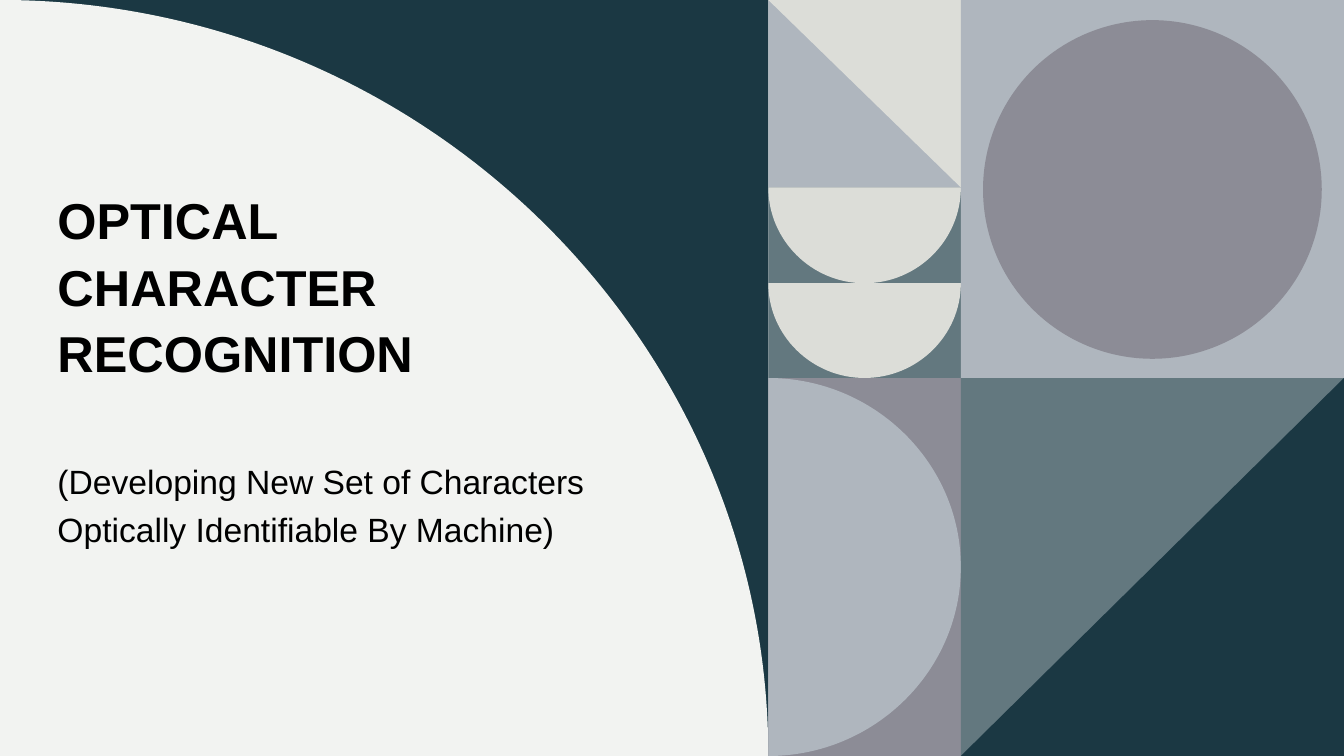
from dataclasses import dataclass

from pptx import Presentation
from pptx.dml.color import RGBColor
from pptx.enum import shapes, text
from pptx.oxml import ns
from pptx.util import Inches, Pt


@dataclass(frozen=True)
class Theme:
    paper: str = "F2F3F1"
    navy: str = "1B3843"
    mist: str = "AFB6BE"
    bone: str = "DCDDD8"
    slate: str = "63787F"
    mauve: str = "8C8C96"
    ink: str = "000000"
    face: str = "Arial"
    title_size: int = 36
    subtitle_size: int = 24


THEME = Theme()
WIDTH, HEIGHT = 13.33, 7.5
PANEL, MIDDLE = 7.62, 9.53
TRIANGLE_END, BOWL_END, HALF = 1.86, 2.81, 3.75
ROUNDNESS = 0.55


def paint(shape, color):
    shape.shadow.inherit = False
    shape.fill.solid()
    shape.fill.fore_color.rgb = RGBColor.from_string(color)
    shape.line.fill.background()


def add_preset(slide, preset, left, top, right, bottom, color):
    box = map(Inches, (left, top, right - left, bottom - top))
    paint(slide.shapes.add_shape(preset, *box), color)


def add_tile(slide, *edges_and_color):
    add_preset(slide, shapes.MSO_SHAPE.RECTANGLE, *edges_and_color)


def toward(start, corner):
    return tuple(s + ROUNDNESS * (c - s) for s, c in zip(start, corner))


def bend_lines(outline, straight_count):
    lines = list(outline.element.iter(ns.qn("a:lnTo")))[straight_count:]
    for first, second, last in zip(lines[::3], lines[1::3], lines[2::3]):
        first.tag = ns.qn("a:cubicBezTo")
        for line in (second, last):
            first.append(line[0])
            line.getparent().remove(line)


def add_outline(slide, straight, color, quarters=()):
    points = list(straight)
    for corner, end in quarters:
        points += [toward(points[-1], corner), toward(end, corner), end]
    vertices = [(Inches(x), Inches(y)) for x, y in points]
    builder = slide.shapes.build_freeform(*vertices[0])
    builder.add_line_segments(vertices[1:], close=True)
    outline = builder.convert_to_shape()
    bend_lines(outline, len(straight) - 1)
    paint(outline, color)


def fill_placeholder(placeholder, wording, box, frame_format, paragraph_format, font_format):
    for side, length in zip(("left", "top", "width", "height"), box):
        setattr(placeholder, side, Inches(length))
    frame = placeholder.text_frame
    frame.text = wording
    paragraph = frame.paragraphs[0]
    font = paragraph.runs[0].font
    frame_format = {"word_wrap": True, "auto_size": text.MSO_AUTO_SIZE.NONE, **frame_format}
    paragraph_format = {"alignment": text.PP_ALIGN.LEFT, **paragraph_format}
    font_format = {"name": THEME.face, **font_format}
    for target, values in ((frame, frame_format), (paragraph, paragraph_format), (font, font_format)):
        for key, value in values.items():
            setattr(target, key, value)
    font.color.rgb = RGBColor.from_string(THEME.ink)
    placeholder.element.getparent().append(placeholder.element)


def add_cover(slide):
    add_tile(slide, 0, 0, WIDTH, HEIGHT, THEME.paper)
    add_tile(slide, 0, 0, PANEL, HEIGHT, THEME.navy)
    sweep = [((PANEL, 0), (PANEL, HEIGHT))]
    add_outline(slide, [(0, HEIGHT), (0, 0)], THEME.paper, sweep)


def add_mosaic(slide):
    add_tile(slide, PANEL, 0, MIDDLE, TRIANGLE_END, THEME.mist)
    add_outline(slide, [(PANEL, 0), (MIDDLE, 0), (MIDDLE, TRIANGLE_END)], THEME.bone)

    add_tile(slide, PANEL, TRIANGLE_END, MIDDLE, HALF, THEME.slate)
    center = (PANEL + MIDDLE) / 2
    for rim, base in ((TRIANGLE_END, BOWL_END), (BOWL_END, HALF)):
        bowl = [((MIDDLE, base), (center, base)), ((PANEL, base), (PANEL, rim))]
        add_outline(slide, [(PANEL, rim), (MIDDLE, rim)], THEME.bone, bowl)

    add_tile(slide, MIDDLE, 0, WIDTH, HALF, THEME.mist)
    add_preset(slide, shapes.MSO_SHAPE.OVAL, 9.75, 0.2, 13.11, 3.56, THEME.mauve)

    add_tile(slide, PANEL, HALF, MIDDLE, HEIGHT, THEME.mauve)
    half_disc = [
        ((MIDDLE, HALF), (MIDDLE, (HALF + HEIGHT) / 2)),
        ((MIDDLE, HEIGHT), (PANEL, HEIGHT)),
    ]
    add_outline(slide, [(PANEL, HEIGHT), (PANEL, HALF)], THEME.mist, half_disc)

    add_tile(slide, MIDDLE, HALF, WIDTH, HEIGHT, THEME.slate)
    add_outline(slide, [(WIDTH, HALF), (WIDTH, HEIGHT), (MIDDLE, HEIGHT)], THEME.navy)


def main():
    deck = Presentation()
    deck.slide_width, deck.slide_height = Inches(WIDTH), Inches(HEIGHT)
    slide = deck.slides.add_slide(deck.slide_layouts[0])
    slide.background.fill.solid()
    slide.background.fill.fore_color.rgb = RGBColor.from_string(THEME.paper)
    title, subtitle = slide.placeholders
    add_cover(slide)
    fill_placeholder(
        title, "OPTICAL CHARACTER RECOGNITION", (0.47, 1.75, 4.67, 2.1),
        {"vertical_anchor": text.MSO_ANCHOR.BOTTOM},
        {"line_spacing": 1.1},
        {"size": Pt(THEME.title_size), "bold": True},
    )
    fill_placeholder(
        subtitle, "(Developing New Set of Characters Optically Identifiable By Machine)",
        (0.47, 4.44, 6.18, 1.2),
        {"vertical_anchor": text.MSO_ANCHOR.TOP},
        {"line_spacing": 1.2, "space_before": Pt(10)},
        {"size": Pt(THEME.subtitle_size), "bold": False},
    )
    add_mosaic(slide)
    deck.save("out.pptx")


if __name__ == "__main__":
    main()
